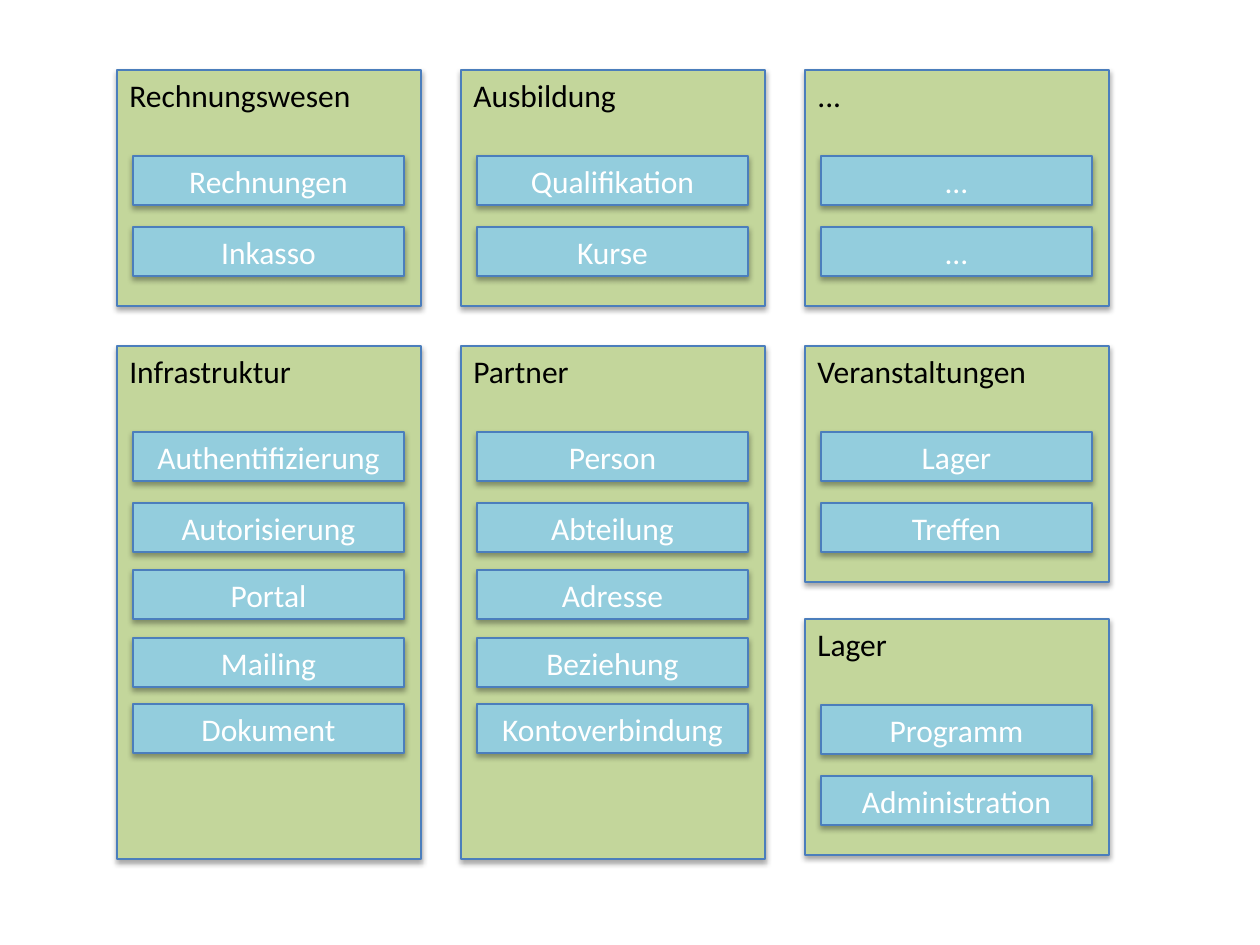
from lxml.etree import SubElement
from pptx import Presentation
from pptx.dml.color import RGBColor
from pptx.enum.shapes import MSO_SHAPE
from pptx.enum.text import MSO_ANCHOR as Anchor, PP_ALIGN as Align
from pptx.oxml.ns import qn
from pptx.util import Emu, Pt

SLIDE_W, SLIDE_H = 1260, 945
EMU_PER_PX = 914400 / 126

GREEN = RGBColor(0xC3, 0xD6, 0x9B)
AQUA = RGBColor(0x93, 0xCD, 0xDD)
BLUE = RGBColor(0x4B, 0x7E, 0xBC)
BLACK = RGBColor(0x00, 0x00, 0x00)
WHITE = RGBColor(0xFF, 0xFF, 0xFF)

COLUMN_LEFT, COLUMN_STEP = 117, 344
PANEL_W, SHORT_H, TALL_H = 304, 236, 513
TOP_ROW, MIDDLE_ROW, BOTTOM_ROW = 70, 346, 619
MODULE_INSET, MODULE_W, MODULE_H = 16, 271, 49
MODULE_OFFSETS = (86, 157, 224, 292, 358)

# column, top, height, domain, modules
DOMAINS = [
    (0, TOP_ROW, SHORT_H, "Rechnungswesen", ["Rechnungen", "Inkasso"]),
    (1, TOP_ROW, SHORT_H, "Ausbildung", ["Qualifikation", "Kurse"]),
    (2, TOP_ROW, SHORT_H, "...", ["...", "..."]),
    (0, MIDDLE_ROW, TALL_H, "Infrastruktur",
     ["Authentifizierung", "Autorisierung", "Portal", "Mailing", "Dokument"]),
    (1, MIDDLE_ROW, TALL_H, "Partner",
     ["Person", "Abteilung", "Adresse", "Beziehung", "Kontoverbindung"]),
    (2, MIDDLE_ROW, SHORT_H, "Veranstaltungen", ["Lager", "Treffen"]),
    (2, BOTTOM_ROW, SHORT_H, "Lager", ["Programm", "Administration"]),
]


def px(length):
    return Emu(round(length * EMU_PER_PX))


def write_text(frame, text, *, color, align, anchor, font="Calibri", size=18):
    frame.word_wrap = True
    frame.vertical_anchor = anchor
    paragraph = frame.paragraphs[0]
    paragraph.alignment = align
    run = paragraph.add_run()
    run.text = text
    run.font.name = font
    run.font.size = Pt(size)
    run.font.color.rgb = color


def add_soft_shadow(shape):
    shape.shadow.inherit = False
    effects = shape.element.spPr.find(qn("a:effectLst"))
    shadow = SubElement(effects, qn("a:outerShdw"), blurRad="40000",
                        dist="23000", dir="5400000", rotWithShape="0")
    black = SubElement(shadow, qn("a:srgbClr"), val="000000")
    SubElement(black, qn("a:alpha"), val="35000")


class DomainMap:
    """Holds the slide and the shared look of its panels and modules."""

    def __init__(self, slide, outline=BLUE, outline_pt=0.75):
        self.slide = slide
        self.outline = outline
        self.outline_pt = outline_pt

    def box(self, left, top, width, height, fill):
        shape = self.slide.shapes.add_shape(
            MSO_SHAPE.RECTANGLE, px(left), px(top), px(width), px(height))
        shape.fill.solid()
        shape.fill.fore_color.rgb = fill
        shape.line.color.rgb = self.outline
        shape.line.width = Pt(self.outline_pt)
        add_soft_shadow(shape)
        return shape

    def panel(self, left, top, height, title):
        panel = self.box(left, top, PANEL_W, height, GREEN)
        write_text(panel.text_frame, title, color=BLACK,
                   align=Align.LEFT, anchor=Anchor.TOP)

    def module(self, left, top, label):
        module = self.box(left, top, MODULE_W, MODULE_H, AQUA)
        write_text(module.text_frame, label, color=WHITE,
                   align=Align.CENTER, anchor=Anchor.MIDDLE)

    def domain(self, column, top, height, title, modules):
        left = COLUMN_LEFT + column * COLUMN_STEP
        self.panel(left, top, height, title)
        for offset, label in zip(MODULE_OFFSETS, modules):
            self.module(left + MODULE_INSET, top + offset, label)


def main():
    presentation = Presentation()
    presentation.slide_width = px(SLIDE_W)
    presentation.slide_height = px(SLIDE_H)
    blank = presentation.slide_layouts[6]
    domain_map = DomainMap(presentation.slides.add_slide(blank))
    for domain in DOMAINS:
        domain_map.domain(*domain)
    presentation.save("out.pptx")


if __name__ == "__main__":
    main()
